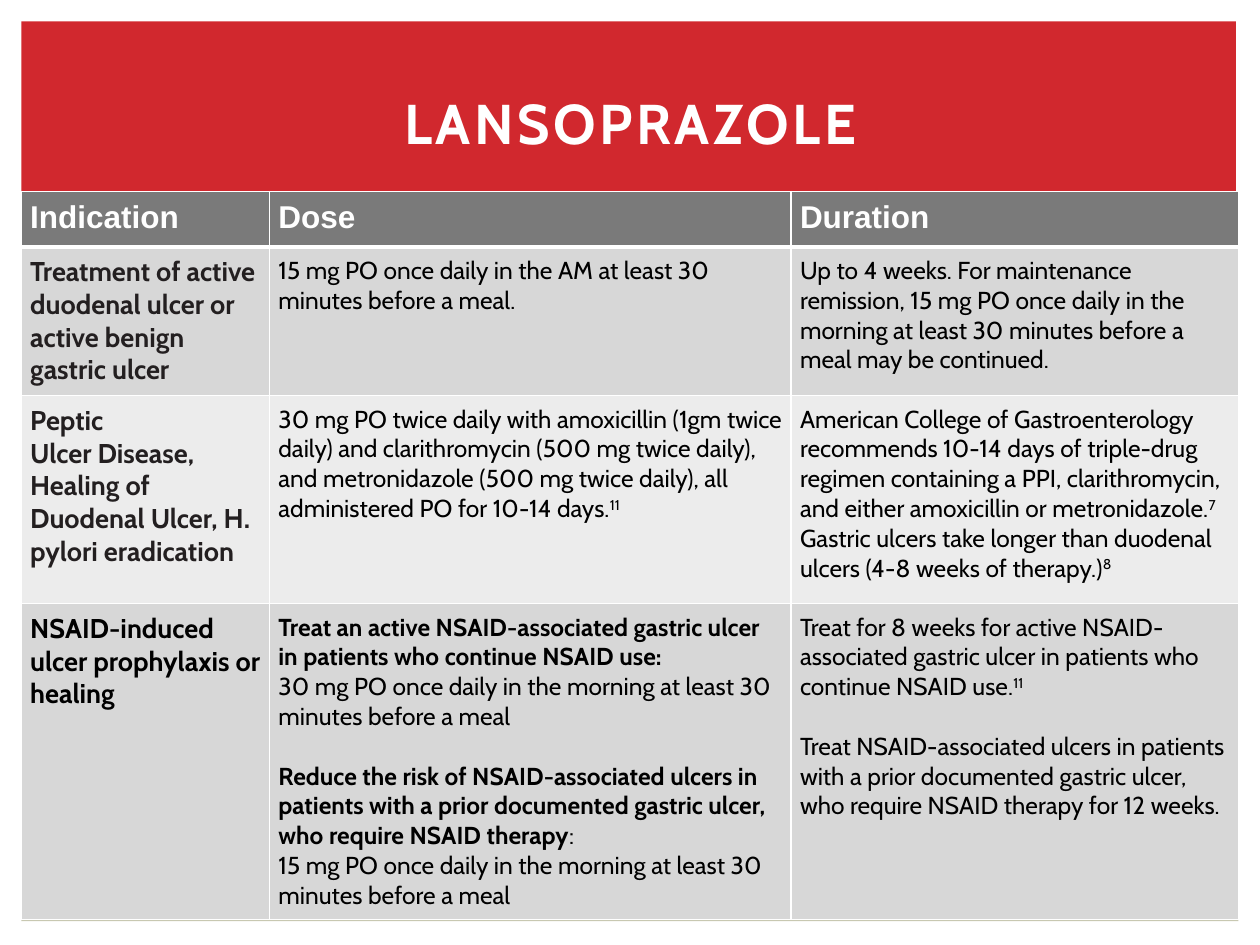
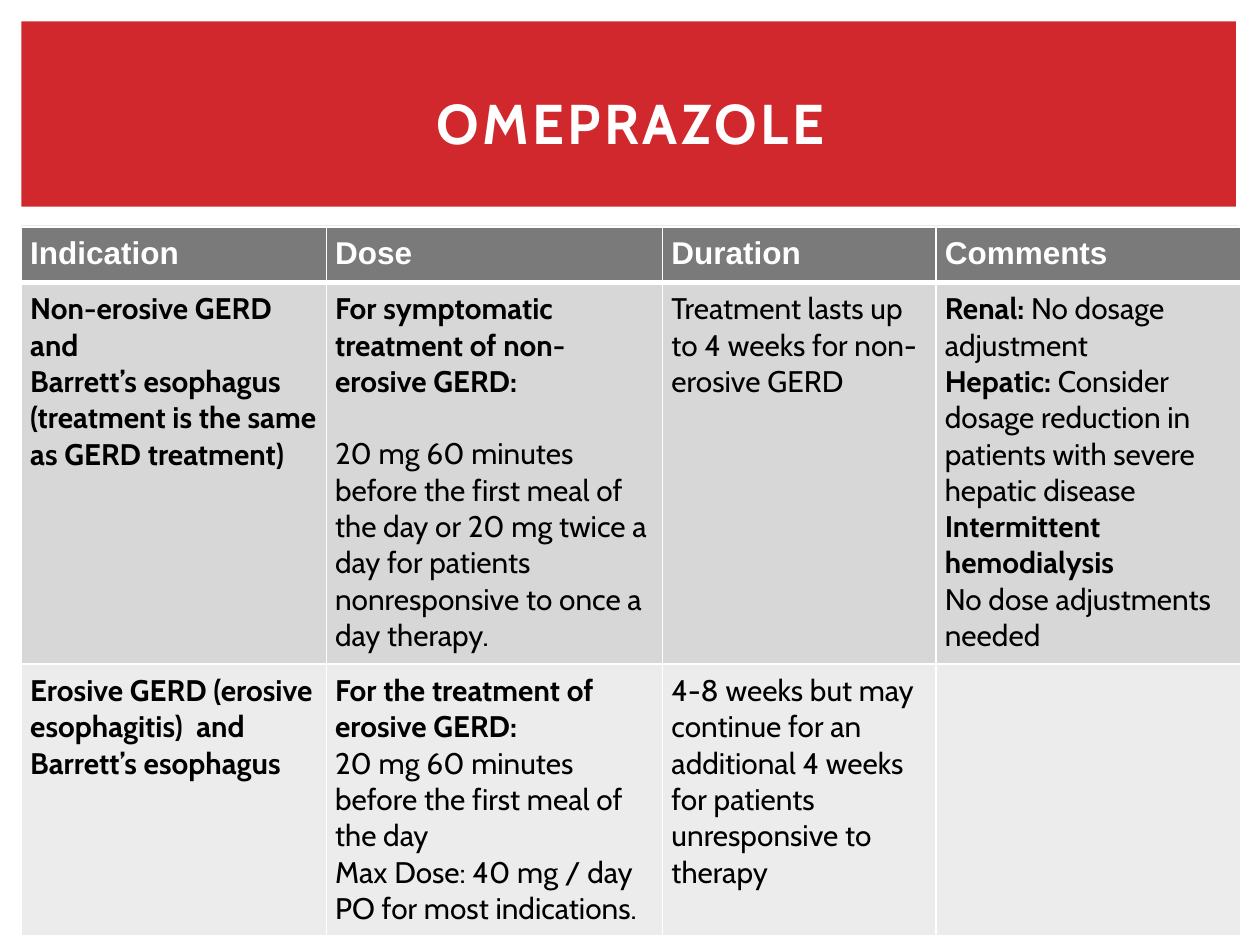
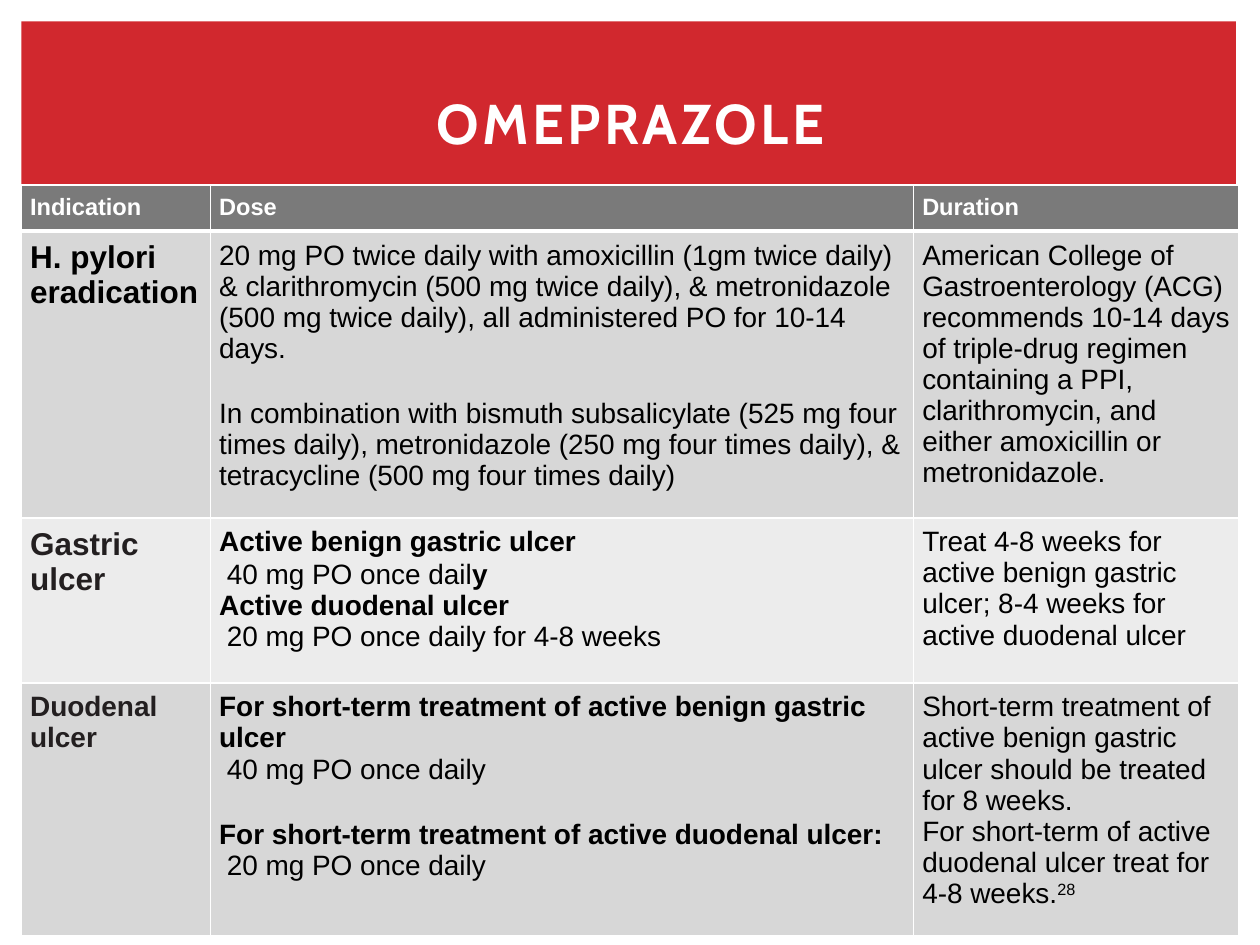
from dataclasses import dataclass

from lxml.etree import SubElement
from pptx import Presentation
from pptx.dml.color import RGBColor
from pptx.enum.shapes import MSO_SHAPE as Shape
from pptx.enum.text import MSO_ANCHOR as Anchor, PP_ALIGN as Align
from pptx.oxml.ns import qn
from pptx.util import Inches, Pt


@dataclass(frozen=True)
class Theme:
    red: str = "D1282E"
    khaki: str = "C8C8B1"
    white: str = "FFFFFF"
    black: str = "000000"
    ink: str = "231F20"
    header: str = "7A7A7A"
    bands: tuple = ("D7D7D7", "ECECEC")
    display: str = "Cabin"
    plain: str = "Arial"
    title_size: float = 32
    title_spacing: float = 2
    cell_inset: float = 0.07
    thin: float = 1
    thick: float = 3


THEME = Theme()


@dataclass(frozen=True)
class Span:
    text: str
    bold: bool = False
    raised: bool = False


@dataclass(frozen=True)
class Line:
    """One paragraph; size None means the body size of its table."""
    spans: tuple
    gap: float = 0
    indent: float = 0
    size: float = None
    color: str = THEME.black


@dataclass(frozen=True)
class TableStyle:
    font: str
    header_size: float
    body_size: float


# Text helpers

def plain(text, note="", gap=0, indent=0):
    spans = (Span(text),) + ((Span(note, raised=True),) if note else ())
    return Line(spans, gap, indent)


def strong(text, gap=0):
    return Line((Span(text, bold=True),), gap)


def label(size, color, *texts):
    return [Line((Span(text, bold=True),), size=size, color=color)
            for text in texts]


def style_font(font, name, size, color, bold):
    font.name, font.size, font.bold = name, Pt(size), bold
    font.color.rgb = RGBColor.from_string(color)


def write_line(para, line, font_name, body_size):
    if line.gap:
        para.space_before = Pt(line.gap)
    if line.indent:
        para._p.get_or_add_pPr().set("marL", str(Inches(line.indent)))
    for span in line.spans:
        run = para.add_run()
        run.text = span.text
        style_font(run.font, font_name, line.size or body_size,
                   line.color, span.bold)
        if span.raised:
            run._r.get_or_add_rPr().set("baseline", "30000")


# Shared slide parts

def add_rectangle(page, left, top, width, height, color):
    rectangle = page.shapes.add_shape(
        Shape.RECTANGLE, *map(Inches, (left, top, width, height)))
    rectangle.shadow.inherit = False
    rectangle.fill.solid()
    rectangle.fill.fore_color.rgb = RGBColor.from_string(color)
    rectangle.line.fill.background()


def add_title(page, title):
    box = page.shapes.add_textbox(*map(Inches, (0.42, 0.39, 9.17, 1.15)))
    frame = box.text_frame
    frame.word_wrap = True
    frame.vertical_anchor = Anchor.MIDDLE
    frame.text = title
    para = frame.paragraphs[0]
    para.alignment = Align.CENTER
    run = para.runs[0]
    style_font(run.font, THEME.display, THEME.title_size, THEME.white, True)
    run._r.get_or_add_rPr().set("spc", str(int(THEME.title_spacing * 100)))


def add_page(deck, title):
    page = deck.slides.add_slide(deck.slide_layouts[6])
    add_rectangle(page, 0.17, 1.79, 9.66, 5.52, THEME.khaki)
    add_rectangle(page, 0.17, 0.17, 9.64, 1.47, THEME.red)
    add_title(page, title)
    return page


# Tables

def set_borders(cell, bottom):
    widths = {"lnL": THEME.thin, "lnR": THEME.thin,
              "lnT": THEME.thin, "lnB": bottom}
    properties = cell._tc.get_or_add_tcPr()
    for side, width in widths.items():
        border = SubElement(properties, qn(f"a:{side}"), w=str(Pt(width)))
        fill = SubElement(border, qn("a:solidFill"))
        SubElement(fill, qn("a:srgbClr"), val=THEME.white)


def fill_cell(cell, lines, fill, font_name, size, bottom):
    set_borders(cell, bottom)
    cell.fill.solid()
    cell.fill.fore_color.rgb = RGBColor.from_string(fill)
    inset = Inches(THEME.cell_inset)
    cell.margin_left = cell.margin_right = inset
    cell.margin_top = cell.margin_bottom = inset
    frame = cell.text_frame
    for index, line in enumerate(lines):
        para = frame.add_paragraph() if index else frame.paragraphs[0]
        write_line(para, line, font_name, size)


def add_dosing_table(page, top, widths, heights, style, headings, rows):
    frame = page.shapes.add_table(
        len(heights), len(widths), Inches(0.17), Inches(top),
        Inches(sum(widths)), Inches(sum(heights)))
    table = frame.table
    table.first_row = table.horz_banding = False
    for column, width in zip(table.columns, widths):
        column.width = Inches(width)
    for row, height in zip(table.rows, heights):
        row.height = Inches(height)

    for column, heading in enumerate(headings):
        fill_cell(table.cell(0, column),
                  label(style.header_size, THEME.white, heading),
                  THEME.header, THEME.plain, style.header_size, THEME.thick)
    for number, row in enumerate(rows):
        for column, lines in enumerate(row):
            fill_cell(table.cell(number + 1, column), lines,
                      THEME.bands[number % 2], style.font,
                      style.body_size, THEME.thin)


# Slides

def build_lansoprazole(deck):
    page = add_page(deck, "LANSOPRAZOLE")
    blank_line = 17
    rows = [
        [label(15.5, THEME.ink, "Treatment of active duodenal ulcer or "
               "active benign gastric ulcer"),
         [plain("15 mg PO once daily in the AM at least 30 minutes before "
                "a meal.")],
         [plain("Up to 4 weeks. For maintenance remission, 15 mg PO once "
                "daily in the morning at least 30 minutes before a meal may "
                "be continued.")]],
        [label(15.5, THEME.ink, "Peptic", "Ulcer Disease, Healing of "
               "Duodenal Ulcer, H. pylori eradication"),
         [plain("30 mg PO twice daily with amoxicillin (1gm twice daily) and "
                "clarithromycin (500 mg twice daily), and metronidazole "
                "(500 mg twice daily), all administered PO for 10-14 days.",
                "11")],
         [plain("American College of Gastroenterology recommends 10-14 days "
                "of triple-drug regimen containing a PPI, clarithromycin, "
                "and either amoxicillin or metronidazole.", "7"),
          plain("Gastric ulcers take longer than duodenal ulcers (4-8 weeks "
                "of therapy.)", "8")]],
        [label(15.5, THEME.black,
               "NSAID-induced ulcer prophylaxis or healing"),
         [strong("Treat an active NSAID-associated gastric ulcer in patients "
                 "who continue NSAID use:"),
          plain("30 mg PO once daily in the morning at least 30 minutes "
                "before a meal"),
          Line((Span("Reduce the risk of NSAID-associated ulcers in patients "
                     "with a prior documented gastric ulcer, who require "
                     "NSAID therapy", bold=True), Span(":")), blank_line),
          plain("15 mg PO once daily in the morning at least 30 minutes "
                "before a meal")],
         [plain("Treat for 8 weeks for active NSAID-associated gastric ulcer "
                "in patients who continue NSAID use.", "11"),
          plain("Treat NSAID-associated ulcers in patients with a prior "
                "documented gastric ulcer, who require NSAID therapy for "
                "12 weeks.", gap=blank_line)]],
    ]
    add_dosing_table(page, 1.52, (1.97, 4.14, 3.55), (0.42, 1.18, 1.65, 2.51),
                     TableStyle(THEME.display, 18, 14),
                     ("Indication", "Dose", "Duration"), rows)


def build_omeprazole_gerd(deck):
    page = add_page(deck, "OMEPRAZOLE")
    blank_line = 20.7
    rows = [
        [label(17, THEME.black, "Non-erosive GERD and", "Barrett’s esophagus "
               "(treatment is the same as GERD treatment)"),
         [strong("For symptomatic treatment of non-erosive GERD:"),
          plain("20 mg 60 minutes before the first meal of the day or 20 mg "
                "twice a day for patients nonresponsive to once a day "
                "therapy.", gap=blank_line)],
         [plain("Treatment lasts up to 4 weeks for non-erosive GERD")],
         [Line((Span("Renal:", bold=True), Span(" No dosage adjustment"))),
          Line((Span("Hepatic: ", bold=True),
                Span("Consider dosage reduction in patients with severe "
                     "hepatic disease"))),
          strong("Intermittent hemodialysis"),
          plain("No dose adjustments needed")]],
        [label(17, THEME.black,
               "Erosive GERD (erosive esophagitis)  and Barrett’s esophagus"),
         [strong("For the treatment of erosive GERD:"),
          plain("20 mg 60 minutes before the first meal of the day"),
          plain("Max Dose: 40 mg / day PO for most indications.")],
         [plain("4-8 weeks but may continue for an additional 4 weeks for "
                "patients unresponsive to therapy")],
         []],
    ]
    add_dosing_table(page, 1.8, (2.42, 2.67, 2.17, 2.42), (0.42, 3.03, 2.16),
                     TableStyle(THEME.display, 18, 17),
                     ("Indication", "Dose", "Duration", "Comments"), rows)


def build_omeprazole_ulcer(deck):
    page = add_page(deck, "OMEPRAZOLE")
    blank_line, dose_indent = 19.4, 0.06
    rows = [
        [label(18, THEME.black, "H. pylori eradication"),
         [plain("20 mg PO twice daily with amoxicillin (1gm twice daily) & "
                "clarithromycin (500 mg twice daily), & metronidazole "
                "(500 mg twice daily), all administered PO for 10-14 days."),
          plain("In combination with bismuth subsalicylate (525 mg four "
                "times daily), metronidazole (250 mg four times daily), & "
                "tetracycline (500 mg four times daily)", gap=blank_line)],
         [plain("American College of Gastroenterology (ACG) recommends 10-14 "
                "days of triple-drug regimen containing a PPI, "
                "clarithromycin, and either amoxicillin or "
                "metronidazole.")]],
        [label(18, THEME.ink, "Gastric ulcer"),
         [strong("Active benign gastric ulcer"),
          Line((Span("40 mg PO once dail"), Span("y", bold=True)),
               gap=1, indent=dose_indent),
          strong("Active duodenal ulcer"),
          plain("20 mg PO once daily for 4-8 weeks", indent=dose_indent)],
         [plain("Treat 4-8 weeks for active benign gastric ulcer; 8-4 weeks "
                "for active duodenal ulcer")]],
        [label(16, THEME.ink, "Duodenal ulcer"),
         [strong("For short-term treatment of active benign gastric ulcer"),
          plain("40 mg PO once daily", indent=dose_indent),
          strong("For short-term treatment of active duodenal ulcer:",
                 blank_line),
          plain("20 mg PO once daily", indent=dose_indent)],
         [plain("Short-term treatment of active benign gastric ulcer should "
                "be treated for 8 weeks."),
          plain("For short-term of active duodenal ulcer treat for 4-8 "
                "weeks.", "28")]],
    ]
    add_dosing_table(page, 1.47, (1.5, 5.58, 2.58), (0.36, 2.18, 1.31, 1.93),
                     TableStyle(THEME.plain, 13.5, 16),
                     ("Indication", "Dose", "Duration"), rows)


def main():
    deck = Presentation()
    deck.slide_width, deck.slide_height = Inches(10), Inches(7.5)
    build_lansoprazole(deck)
    build_omeprazole_gerd(deck)
    build_omeprazole_ulcer(deck)
    deck.save("out.pptx")


if __name__ == "__main__":
    main()
